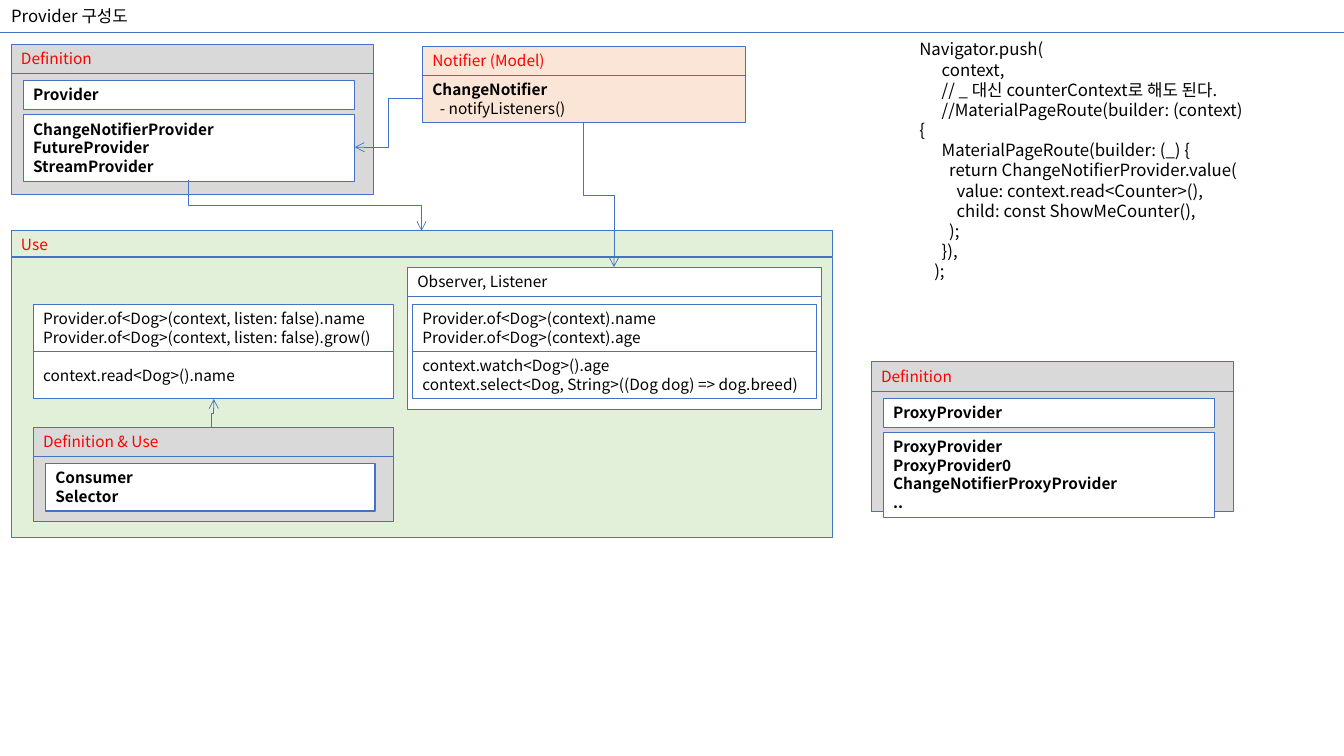
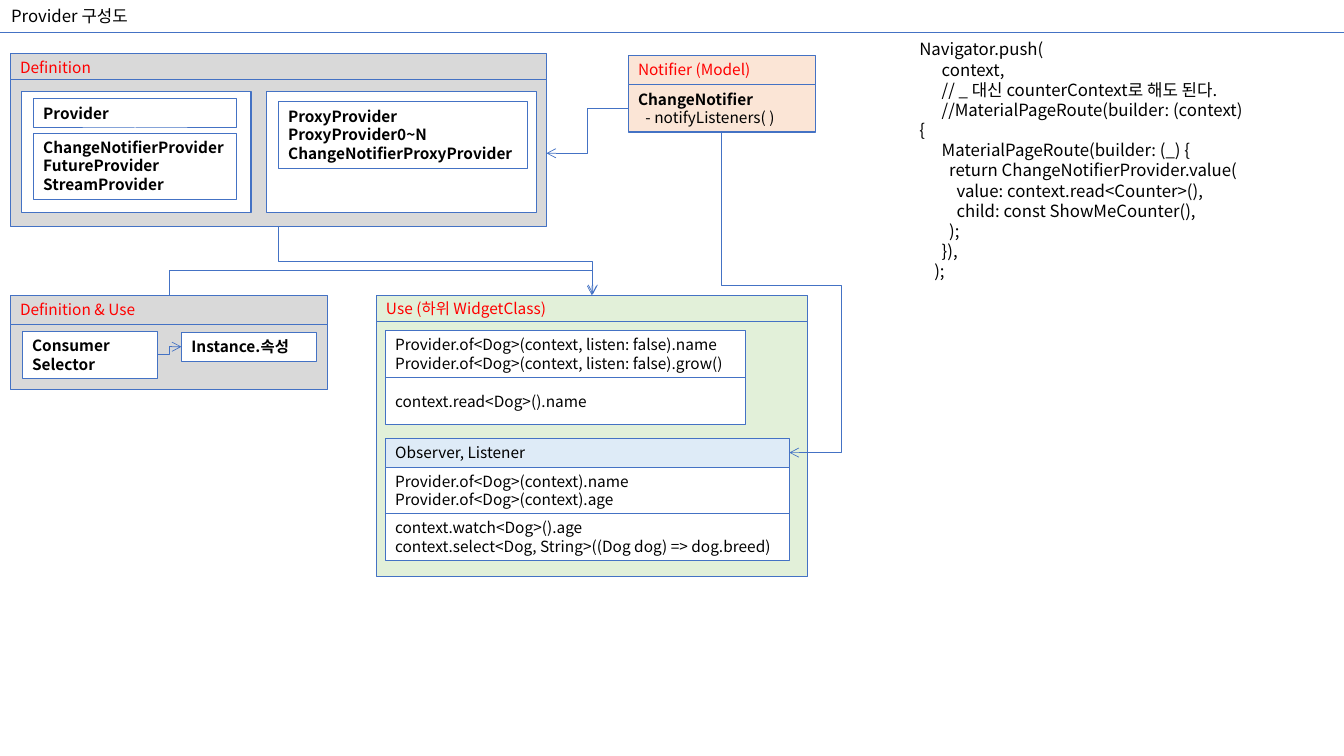
from lxml import etree
from pptx import Presentation
from pptx.dml.color import RGBColor
from pptx.enum.shapes import MSO_CONNECTOR as Link, MSO_SHAPE as Preset
from pptx.enum.text import MSO_ANCHOR as Anchor, MSO_AUTO_SIZE as Fit, PP_ALIGN as Align
from pptx.oxml.ns import qn
from pptx.util import Inches, Pt

COLORS = {
    "line": "4472C4", "text": "000000", "heading": "FF0000", "white": "FFFFFF",
    "gray": "D9D9D9", "green": "E2F0D9", "orange": "FBE5D6", "blue": "DEEBF7",
}
FONT = "Noto Sans CJK KR"
SLIDE_WIDTH, SLIDE_HEIGHT = 13.33, 7.5
HEADER, ROW, TRIPLE = 0.29, 0.47, 0.66
SPACE = 0.037

PROVIDERS = ["ChangeNotifierProvider", "FutureProvider", "StreamProvider"]
PROXIES = ["ProxyProvider", "ProxyProvider0", "ChangeNotifierProxyProvider", ".."]
PROXY_RANGE = ["ProxyProvider", "ProxyProvider0~N", "ChangeNotifierProxyProvider"]
READ_CALLS = [
    ["Provider.of<Dog>(context, listen: false).name",
     "Provider.of<Dog>(context, listen: false).grow()"],
    ["context.read<Dog>().name"],
]
WATCH_CALLS = [
    ["Provider.of<Dog>(context).name", "Provider.of<Dog>(context).age"],
    ["context.watch<Dog>().age",
     "context.select<Dog, String>((Dog dog) => dog.breed)"],
]
CODE = [
    (0, "Navigator.push("),
    (6, "context,"),
    (6, "// _ 대신 counterContext로 해도 된다."),
    (6, "//MaterialPageRoute(builder: (context) {"),
    (6, "MaterialPageRoute(builder: (_) {"),
    (8, "return ChangeNotifierProvider.value("),
    (10, "value: context.read<Counter>(),"),
    (10, "child: const ShowMeCounter(),"),
    (8, ");"),
    (6, "}),"),
    (4, ");"),
]


def rgb(name):
    return RGBColor.from_string(COLORS[name])


def add_line(frame, index, text, size=11, color="text", bold=False, indent=0):
    para = frame.paragraphs[0] if index == 0 else frame.add_paragraph()
    para.alignment = Align.LEFT
    if indent:
        para._p.get_or_add_pPr().set("indent", str(Inches(indent * SPACE)))
    span = para.add_run()
    span.text = text
    font = span.font
    font.name, font.size, font.bold = FONT, Pt(size), bold
    font.color.rgb = rgb(color)
    etree.SubElement(span._r.get_or_add_rPr(), qn("a:ea"), typeface=FONT)


def set_frame(box, anchor=Anchor.TOP):
    frame = box.text_frame
    frame.word_wrap = True
    frame.auto_size = Fit.NONE
    frame.vertical_anchor = anchor
    return frame


def add_box(page, left, top, width, height, lines=(), fill="white",
            color="text", bold=False, anchor=Anchor.TOP):
    box = page.shapes.add_shape(
        Preset.RECTANGLE, Inches(left), Inches(top), Inches(width), Inches(height))
    box.shadow.inherit = False
    box.fill.solid()
    box.fill.fore_color.rgb = rgb(fill)
    box.line.color.rgb = rgb("line")
    box.line.width = Pt(0.75)
    frame = set_frame(box, anchor)
    for index, text in enumerate(lines):
        add_line(frame, index, text, color=color, bold=bold)
    return box


def add_panel(page, left, top, width, height, heading, fill,
              header=HEADER, anchor=Anchor.TOP):
    add_box(page, left, top + header, width, height, fill=fill)
    add_box(page, left, top, width, header, [heading], fill, "heading", anchor=anchor)


def add_stack(page, left, top, width, groups):
    for index, lines in enumerate(groups):
        anchor = Anchor.MIDDLE if len(lines) == 1 else Anchor.TOP
        add_box(page, left, top + index * 0.465, width, ROW, lines, anchor=anchor)


def add_providers(page, left, top, width, first, others, height=TRIPLE):
    add_box(page, left, top, width, HEADER, [first], bold=True)
    add_box(page, left, top + 0.34, width, height, others, bold=True)


def add_notifier(page, left, top, width, method):
    add_panel(page, left, top, width, ROW, "Notifier (Model)", "orange")
    frame = page.shapes[-2].text_frame
    add_line(frame, 0, "ChangeNotifier", bold=True)
    add_line(frame, 1, method, indent=2)


def add_link(page, kind, start, end):
    points = [Inches(value) for value in (*start, *end)]
    link = page.shapes.add_connector(kind, *points)
    link.line.color.rgb = rgb("line")
    link.line.width = Pt(0.5)
    etree.SubElement(link._element.spPr, qn("a:effectLst"))
    return link


def add_arrow(page, start, end, vertical=False, bends=()):
    (x1, y1), (x2, y2) = start, end
    turn = 0
    if vertical:
        sign = 1 if y2 < y1 else -1
        turn = 90 if sign == 1 else 270
        middle_x, middle_y = (x1 + x2) / 2, (y1 + y2) / 2
        half_x, half_y = sign * (y2 - y1) / 2, sign * (x2 - x1) / 2
        start = middle_x - half_x, middle_y + half_y
        end = middle_x + half_x, middle_y - half_y
    arrow = add_link(page, Link.ELBOW, start, end)
    properties = arrow._element.spPr
    if turn:
        properties.find(qn("a:xfrm")).set("rot", str(turn * 60000))
    if bends:
        geometry = properties.find(qn("a:prstGeom"))
        geometry.set("prst", f"bentConnector{len(bends) + 2}")
        guides = geometry.find(qn("a:avLst"))
        for index, bend in enumerate(bends, 1):
            etree.SubElement(guides, qn("a:gd"), name=f"adj{index}",
                             fmla=f"val {round(bend * 100000)}")
    etree.SubElement(properties.find(qn("a:ln")), qn("a:tailEnd"), type="arrow")


def add_page(deck):
    page = deck.slides.add_slide(deck.slide_layouts[5])
    title = page.shapes.title
    title.left, title.top = Inches(0.01), Inches(0.01)
    title.width, title.height = Inches(6.67), Inches(0.3)
    add_line(set_frame(title), 0, "Provider 구성도", size=12)
    add_link(page, Link.STRAIGHT, (0, 0.32), (SLIDE_WIDTH, 0.32))
    return page


def add_code(page):
    box = page.shapes.add_textbox(Inches(9.02), Inches(0.34), Inches(3.44), Inches(2.73))
    frame = set_frame(box)
    for index, (indent, text) in enumerate(CODE):
        add_line(frame, index, text, size=12, indent=indent)


def build_overview(deck):
    page = add_page(deck)
    add_panel(page, 0.11, 2.29, 8.15, 2.78, "Use", "green", 0.26, Anchor.MIDDLE)
    add_box(page, 4.04, 2.65, 4.11, HEADER, ["Observer, Listener"])
    add_box(page, 4.04, 2.94, 4.11, 1.12)
    add_stack(page, 0.33, 3.02, 3.57, READ_CALLS)
    add_stack(page, 4.09, 3.02, 4.01, WATCH_CALLS)
    add_notifier(page, 4.19, 0.46, 3.2, "- notifyListeners()")
    add_panel(page, 0.11, 0.44, 3.59, 1.2, "Definition", "gray")
    add_providers(page, 0.23, 0.8, 3.29, "Provider", PROVIDERS)
    add_panel(page, 0.33, 4.24, 3.57, 0.64, "Definition & Use", "gray")
    add_box(page, 0.45, 4.6, 3.27, ROW, ["Consumer", "Selector"], bold=True)
    add_panel(page, 8.64, 3.59, 3.59, 1.2, "Definition", "gray")
    add_providers(page, 8.76, 3.95, 3.29, "ProxyProvider", PROXIES, 0.84)
    add_arrow(page, (4.19, 0.98), (3.52, 1.46))
    add_arrow(page, (1.87, 1.79), (4.18, 2.29), vertical=True)
    add_arrow(page, (5.79, 1.22), (6.09, 2.65), vertical=True)
    add_arrow(page, (2.1, 4.25), (2.12, 3.96), vertical=True)
    add_code(page)


def build_detail(deck):
    page = add_page(deck)
    add_notifier(page, 6.23, 0.55, 1.86, "- notifyListeners( )")
    add_panel(page, 0.1, 2.93, 3.15, 0.64, "Definition & Use", "gray")
    add_box(page, 0.22, 3.29, 1.34, ROW, ["Consumer", "Selector"], bold=True)
    add_box(page, 1.8, 3.3, 1.34, HEADER, ["Instance.속성"], bold=True)
    add_panel(page, 0.1, 0.53, 5.32, 1.46, "Definition", "gray", 0.26)
    add_box(page, 0.21, 0.91, 2.28, 1.2)
    add_providers(page, 0.33, 0.98, 2.02, "Provider", PROVIDERS)
    add_box(page, 2.64, 0.91, 2.68, 1.2)
    add_box(page, 2.76, 1.01, 2.47, TRIPLE, PROXY_RANGE, bold=True)
    add_panel(page, 3.73, 2.93, 4.28, 2.53, "Use (하위 WidgetClass)", "green",
              0.26, Anchor.MIDDLE)
    add_stack(page, 3.82, 3.28, 3.57, READ_CALLS)
    add_stack(page, 3.82, 4.63, 4.01, WATCH_CALLS)
    add_box(page, 3.82, 4.35, 4.01, HEADER, ["Observer, Listener"], "blue")
    add_arrow(page, (6.23, 1.07), (5.42, 1.52))
    add_arrow(page, (2.76, 2.25), (5.87, 2.93), vertical=True)
    add_arrow(page, (1.56, 3.52), (1.8, 3.44))
    add_arrow(page, (7.16, 1.31), (7.83, 4.49), vertical=True, bends=(0.48, 1.77))
    add_arrow(page, (1.68, 2.93), (5.88, 2.92), vertical=True, bends=(25,))
    add_code(page)


def main():
    deck = Presentation()
    deck.slide_width, deck.slide_height = Inches(SLIDE_WIDTH), Inches(SLIDE_HEIGHT)
    build_overview(deck)
    build_detail(deck)
    deck.save("out.pptx")


main()
